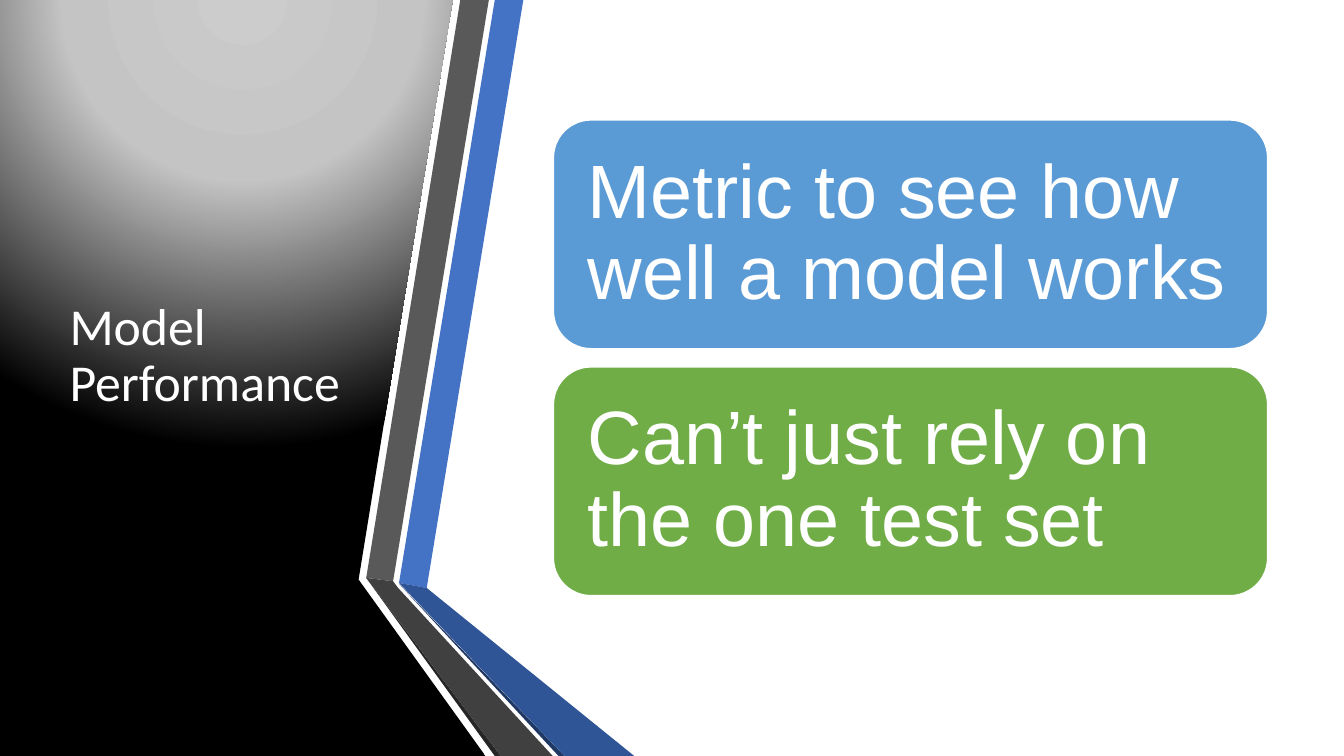
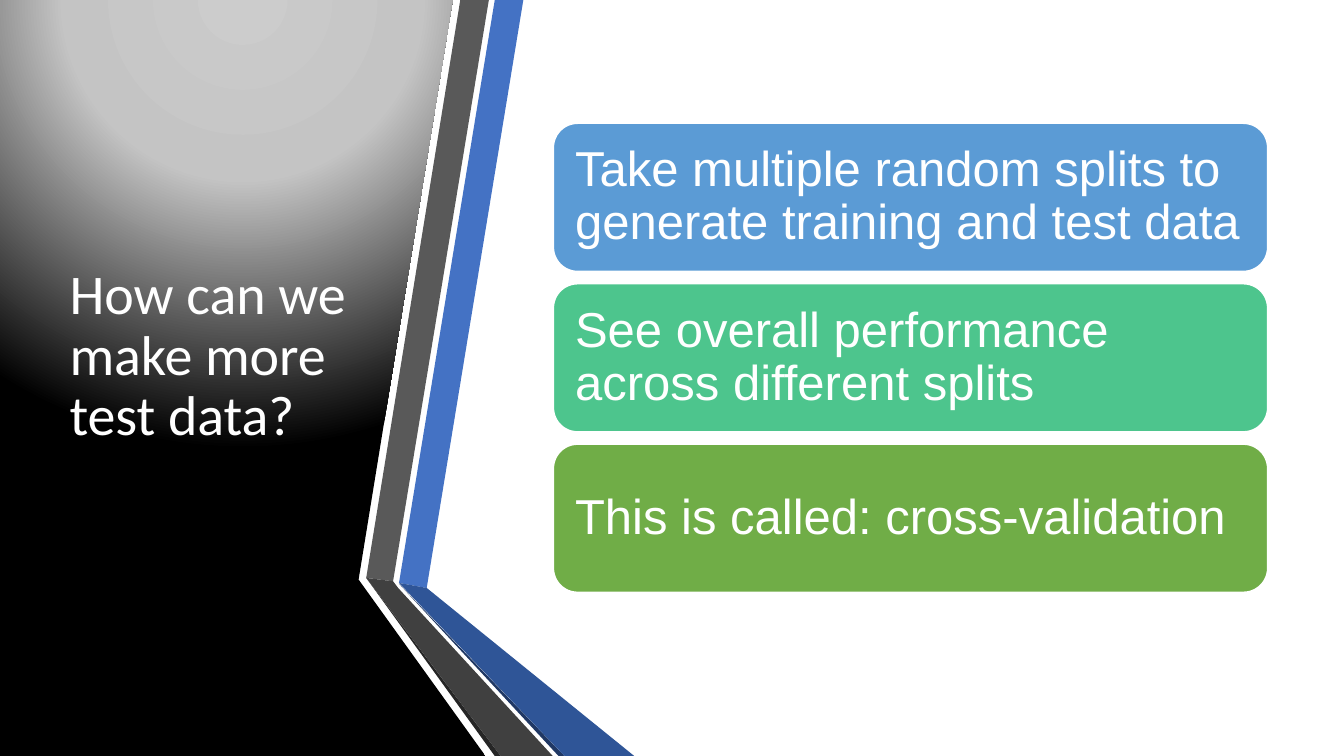
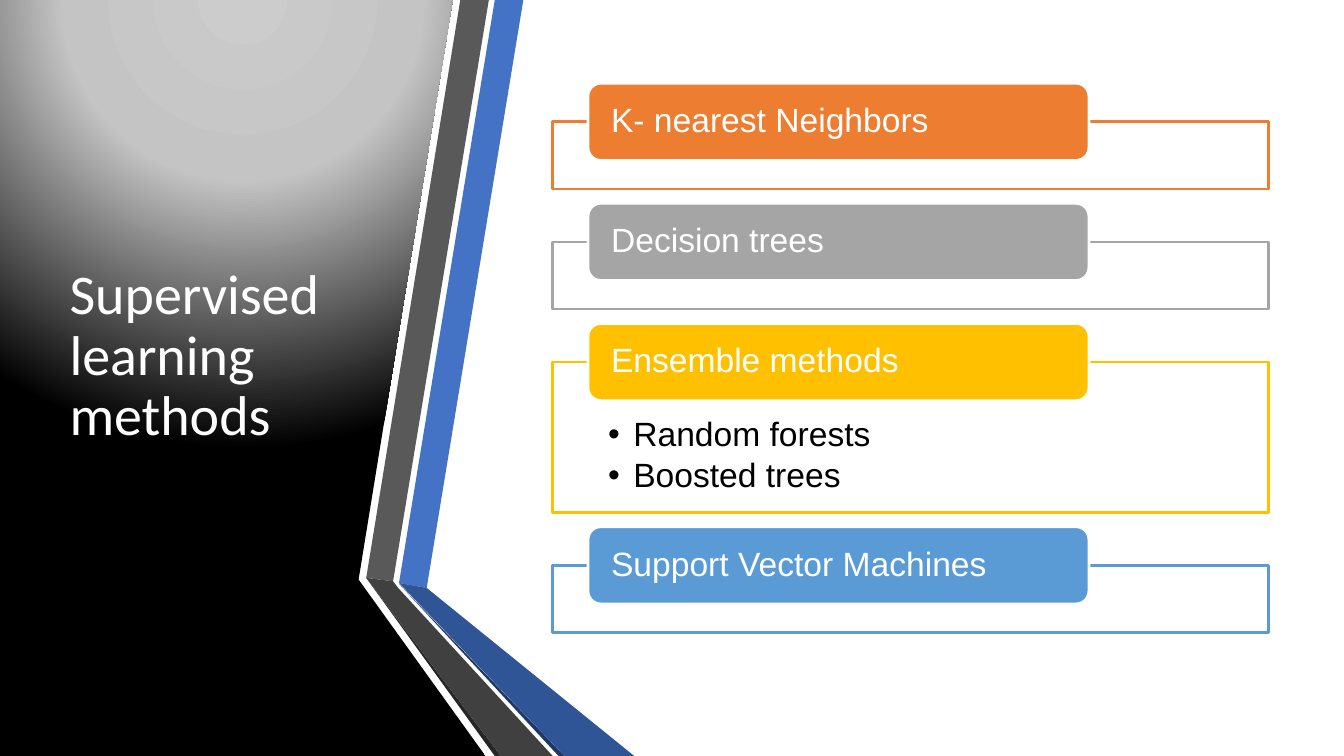
from dataclasses import dataclass

from pptx import Presentation, util as u
from pptx.dml.color import RGBColor
from pptx.enum import shapes, text
from pptx.oxml import parse_xml
from pptx.oxml.ns import nsdecls, qn

# Grid: 16 columns by 9 rows of square cells; every length is in cells
COLUMNS, ROWS = 16, 9
CELL = u.Inches(7.5) // ROWS

WHITE = RGBColor(0xFF, 0xFF, 0xFF)
BLACK = RGBColor(0x00, 0x00, 0x00)
SKY = RGBColor(0x5B, 0x9B, 0xD5)
MINT = RGBColor(0x4D, 0xC5, 0x8D)
GREEN = RGBColor(0x70, 0xAD, 0x47)
ORANGE = RGBColor(0xED, 0x7D, 0x31)
GREY = RGBColor(0xA5, 0xA5, 0xA5)
GOLD = RGBColor(0xFF, 0xC0, 0x00)
BLUE = RGBColor(0x44, 0x72, 0xC4)
BLUE_SHADE = RGBColor(0x2F, 0x55, 0x97)
NAVY = RGBColor(0x20, 0x38, 0x64)
SLATE = RGBColor(0x59, 0x59, 0x59)
SLATE_SHADE = RGBColor(0x40, 0x40, 0x40)
CHARCOAL = RGBColor(0x26, 0x26, 0x26)
PANEL_STOPS = ((0, RGBColor(0xCC, 0xCC, 0xCC)), (40, RGBColor(0xC4, 0xC4, 0xC4)), (100, BLACK))

TITLE_FONT, BODY_FONT = "Calibri", "Arial"
LINE_SPACING = 0.9
STACK_LEFT, STACK_WIDTH, STACK_MIDDLE = 6.58, 8.52, 4.26
TAB_HEIGHT, TAB_INDENT, TAB_SHARE = 0.92, 0.42, 0.7
SECTION_GAP = 0.63


@dataclass(frozen=True)
class Area:
    left: float
    top: float
    width: float
    height: float


@dataclass(frozen=True)
class Band:
    color: RGBColor
    points: tuple


@dataclass(frozen=True)
class CardStyle:
    height: float
    gap: float
    inset: float
    size: int


@dataclass(frozen=True)
class Card:
    label: str
    color: RGBColor


@dataclass(frozen=True)
class Section:
    label: str
    color: RGBColor
    height: float = 0.8
    bullets: tuple = ()


TITLE_AREA = Area(0.71, 0.9, 3.65, 6.7)
PANEL_POINTS = ((0, 0), (5.39, 0), (4.27, 6.9), (5.78, 9), (0, 9))
BANDS = (
    Band(BLUE, ((4.75, 6.94), (5.08, 7), (6.23, 0), (5.89, 0))),
    Band(SLATE, ((5.82, 0), (5.48, 0), (4.36, 6.88), (4.68, 6.92))),
    Band(CHARCOAL, ((4.36, 6.88), (5.89, 9), (5.96, 9))),
    Band(NAVY, ((4.75, 6.95), (6.65, 9), (6.72, 9))),
    Band(BLUE_SHADE, ((4.75, 6.94), (6.72, 9), (7.55, 9), (5.08, 7))),
    Band(SLATE_SHADE, ((6.58, 9), (4.74, 7), (4.68, 6.92), (4.36, 6.88), (5.96, 9))),
)


def cells(count: float) -> u.Emu:
    return u.Emu(round(count * CELL))


def place(area: Area) -> tuple:
    return tuple(cells(n) for n in (area.left, area.top, area.width, area.height))


# Text
def set_frame(frame, insets: tuple, anchor) -> None:
    frame.word_wrap = True
    frame.vertical_anchor = anchor
    (frame.margin_left, frame.margin_top,
     frame.margin_right, frame.margin_bottom) = (cells(n) for n in insets)


def write(para, words: str, font: str, size: int, color: RGBColor, after: float = 0) -> None:
    para.alignment = text.PP_ALIGN.LEFT
    para.line_spacing = LINE_SPACING
    para.space_after = u.Pt(size * after)
    span = para.add_run()
    span.text = words
    span.font.name = font
    span.font.size = u.Pt(size)
    span.font.color.rgb = color


def add_bullet(para) -> None:
    properties = para._p.get_or_add_pPr()
    properties.set("marL", str(u.Inches(0.25)))
    properties.set("indent", str(-u.Inches(0.25)))
    properties.append(parse_xml(f'<a:buFont {nsdecls("a")} typeface="{BODY_FONT}"/>'))
    properties.append(parse_xml(f'<a:buChar {nsdecls("a")} char="•"/>'))


# Shapes
def add_box(page, kind, area: Area, fill: RGBColor, line: RGBColor):
    box = page.shapes.add_shape(kind, *place(area))
    box.shadow.inherit = False
    box.fill.solid()
    box.fill.fore_color.rgb = fill
    box.line.color.rgb = line
    box.line.width = u.Pt(2)
    return box


def add_outline(page, points: tuple):
    start, *rest = [(cells(x), cells(y)) for x, y in points]
    builder = page.shapes.build_freeform(*start)
    builder.add_line_segments(rest, close=True)
    outline = builder.convert_to_shape()
    outline.shadow.inherit = False
    outline.line.fill.background()
    return outline


def fill_with_glow(outline) -> None:
    stops = "".join(f'<a:gs pos="{pos * 1000}"><a:srgbClr val="{color}"/></a:gs>'
                    for pos, color in PANEL_STOPS)
    outline.fill.background()
    plain = outline._element.spPr.find(qn("a:noFill"))
    plain.getparent().replace(plain, parse_xml(
        f'<a:gradFill {nsdecls("a")} rotWithShape="1"><a:gsLst>{stops}</a:gsLst>'
        '<a:path path="circle"><a:fillToRect l="50000" t="-80000" r="50000" b="180000"/>'
        '</a:path></a:gradFill>'))


# Shared page: dark panel, folded bands and title
def add_page(deck, title: str, size: int = 40):
    page = deck.slides.add_slide(deck.slide_layouts[6])
    fill_with_glow(add_outline(page, PANEL_POINTS))
    for band in BANDS:
        outline = add_outline(page, band.points)
        outline.fill.solid()
        outline.fill.fore_color.rgb = band.color
    frame = page.shapes.add_textbox(*place(TITLE_AREA)).text_frame
    set_frame(frame, (0.12, 0.06, 0.12, 0.06), text.MSO_ANCHOR.MIDDLE)
    write(frame.paragraphs[0], title, TITLE_FONT, size, WHITE)
    return page


def add_label(page, area: Area, card: Card, insets: tuple, size: int) -> None:
    box = add_box(page, shapes.MSO_SHAPE.ROUNDED_RECTANGLE, area, card.color, WHITE)
    set_frame(box.text_frame, insets, text.MSO_ANCHOR.MIDDLE)
    write(box.text_frame.paragraphs[0], card.label, BODY_FONT, size, WHITE, 0.35)


def add_cards(page, style: CardStyle, cards: tuple) -> None:
    pitch = style.height + style.gap
    top = STACK_MIDDLE - (pitch * len(cards) - style.gap) / 2
    for row, card in enumerate(cards):
        area = Area(STACK_LEFT, top + row * pitch, STACK_WIDTH, style.height)
        add_label(page, area, card, (style.inset,) * 4, style.size)


def add_sections(page, sections: tuple, size: int = 24) -> None:
    # Each tab sits centred on the top edge of its frame
    overhang = TAB_HEIGHT / 2
    total = overhang + sum(s.height for s in sections) + SECTION_GAP * (len(sections) - 1)
    top = STACK_MIDDLE - total / 2 + overhang
    for section in sections:
        area = Area(STACK_LEFT, top, STACK_WIDTH, section.height)
        box = add_box(page, shapes.MSO_SHAPE.RECTANGLE, area, WHITE, section.color)
        if section.bullets:
            frame = box.text_frame
            set_frame(frame, (0.66, 0.66, 0.66, 0.23), text.MSO_ANCHOR.TOP)
            for index, words in enumerate(section.bullets):
                para = frame.add_paragraph() if index else frame.paragraphs[0]
                write(para, words, BODY_FONT, size, BLACK, 0.15)
                add_bullet(para)
        tab = Area(STACK_LEFT + TAB_INDENT, top - overhang, STACK_WIDTH * TAB_SHARE, TAB_HEIGHT)
        add_label(page, tab, Card(section.label, section.color), (0.23, 0, 0.23, 0), size)
        top += section.height + SECTION_GAP


def main() -> None:
    deck = Presentation()
    deck.slide_width, deck.slide_height = cells(COLUMNS), cells(ROWS)

    # Model performance
    page = add_page(deck, "Model Performance", 37)
    add_cards(page, CardStyle(height=2.74, gap=0.2, inset=0.28, size=54), (
        Card("Metric to see how well a model works", SKY),
        Card("Can’t just rely on the one test set", GREEN),
    ))

    # Cross-validation
    page = add_page(deck, "How can we make more test data?")
    add_cards(page, CardStyle(height=1.78, gap=0.13, inset=0.18, size=35), (
        Card("Take multiple random splits to generate training and test data", SKY),
        Card("See overall performance across different splits", MINT),
        Card("This is called: cross-validation", GREEN),
    ))

    # Supervised methods
    page = add_page(deck, "Supervised learning methods")
    add_sections(page, (
        Section("K- nearest Neighbors", ORANGE),
        Section("Decision trees", GREY),
        Section("Ensemble methods", GOLD, 1.79, ("Random forests", "Boosted trees")),
        Section("Support Vector Machines", SKY),
    ))

    deck.save("out.pptx")


if __name__ == "__main__":
    main()
